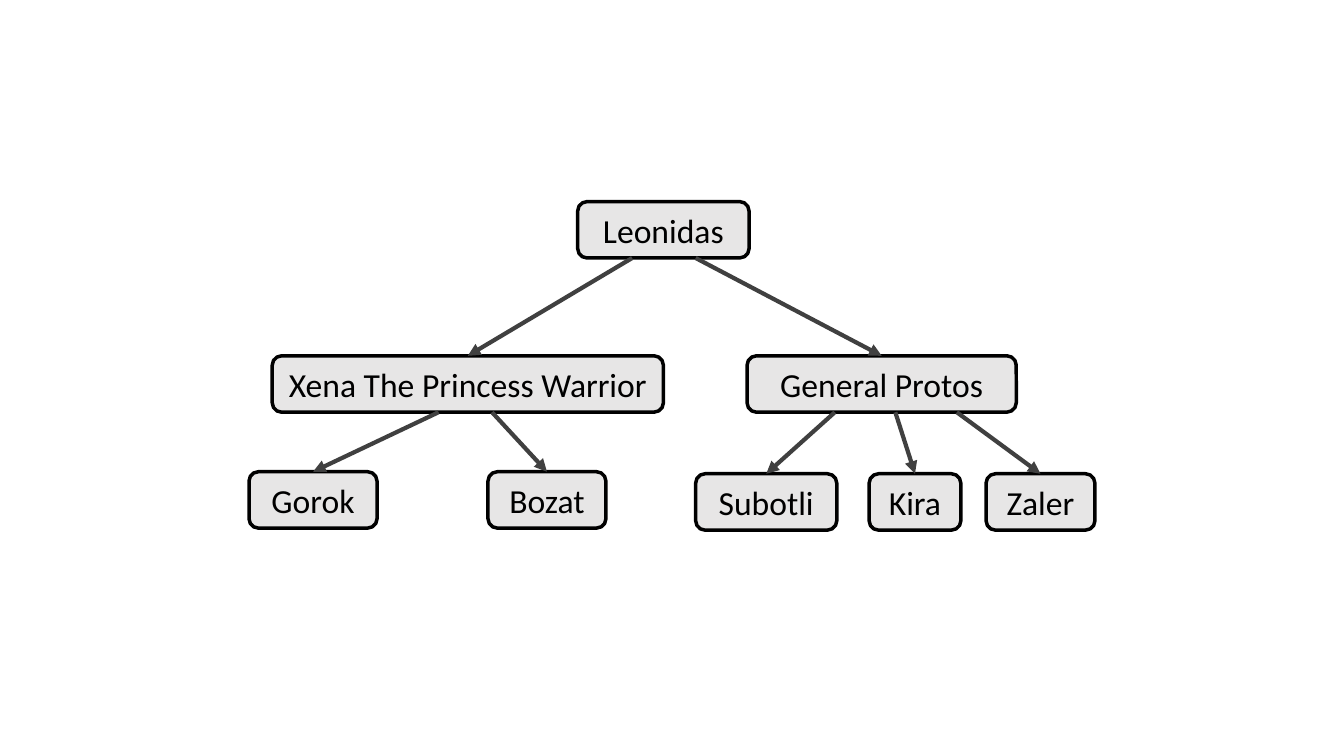
from collections import namedtuple

from lxml.etree import SubElement
from pptx import Presentation
from pptx.dml.color import RGBColor
from pptx.enum.shapes import MSO_CONNECTOR as Connector, MSO_SHAPE as Shape
from pptx.enum.text import MSO_ANCHOR as Anchor, PP_ALIGN as Align
from pptx.oxml.ns import qn
from pptx.util import Inches, Pt

Member = namedtuple("Member", "name left top width leader arrow_left", defaults=(None, None))
BOX_HEIGHT = 0.56
MEMBERS = [
    Member("Leonidas", 3.26, 0, 1.7),
    Member("Xena The Princess Warrior", 0.23, 1.53, 3.88, "Leonidas", 3.8),
    Member("General Protos", 4.94, 1.53, 2.67, "Leonidas", 4.43),
    Member("Gorok", 0, 2.68, 1.27, "Xena The Princess Warrior", 1.88),
    Member("Bozat", 2.37, 2.68, 1.17, "Xena The Princess Warrior", 2.41),
    Member("Subotli", 4.43, 2.7, 1.4, "General Protos", 5.81),
    Member("Kira", 6.15, 2.7, 0.91, "General Protos", 6.41),
    Member("Zaler", 7.31, 2.7, 1.08, "General Protos", 7.02),
]


def color(value):
    """Turn a hex string into a colour."""
    return RGBColor.from_string(value)


def add_member(page, member, left, top):
    """Draw one named box of the tree whose corner is at left, top."""
    box = page.shapes.add_shape(
        Shape.ROUNDED_RECTANGLE, Inches(left + member.left), Inches(top + member.top),
        Inches(member.width), Inches(BOX_HEIGHT))
    box.shadow.inherit = False
    box.fill.solid()
    box.fill.fore_color.rgb = color("E7E6E6")
    box.line.color.rgb = color("000000")
    box.line.width = Pt(2.5)
    frame = box.text_frame
    frame.word_wrap = False
    frame.vertical_anchor = Anchor.MIDDLE
    para = frame.paragraphs[0]
    para.text = member.name
    para.alignment = Align.CENTER
    para.font.name = "Calibri"
    para.font.size = Pt(24)
    para.font.color.rgb = color("000000")


def add_arrow(page, leader, member, left, top):
    """Draw an arrow from the leader's bottom edge to the member's top centre."""
    arrow = page.shapes.add_connector(
        Connector.STRAIGHT,
        Inches(left + member.arrow_left), Inches(top + leader.top + BOX_HEIGHT),
        Inches(left + member.left + member.width / 2), Inches(top + member.top))
    arrow.line.color.rgb = color("404040")
    arrow.line.width = Pt(3)
    SubElement(arrow.line._get_or_add_ln(), qn("a:tailEnd"), type="triangle")
    SubElement(arrow._element.spPr, qn("a:effectLst"))


def add_tree(page, left, top):
    """Draw the chain of command with its corner at left, top."""
    by_name = {member.name: member for member in MEMBERS}
    for member in MEMBERS:
        add_member(page, member, left, top)
    for member in MEMBERS:
        if member.leader:
            add_arrow(page, by_name[member.leader], member, left, top)


deck = Presentation()
deck.slide_width, deck.slide_height = Inches(13.33), Inches(7.5)
slide = deck.slides.add_slide(deck.slide_layouts[6])
add_tree(slide, 2.47, 2)
deck.save("out.pptx")
